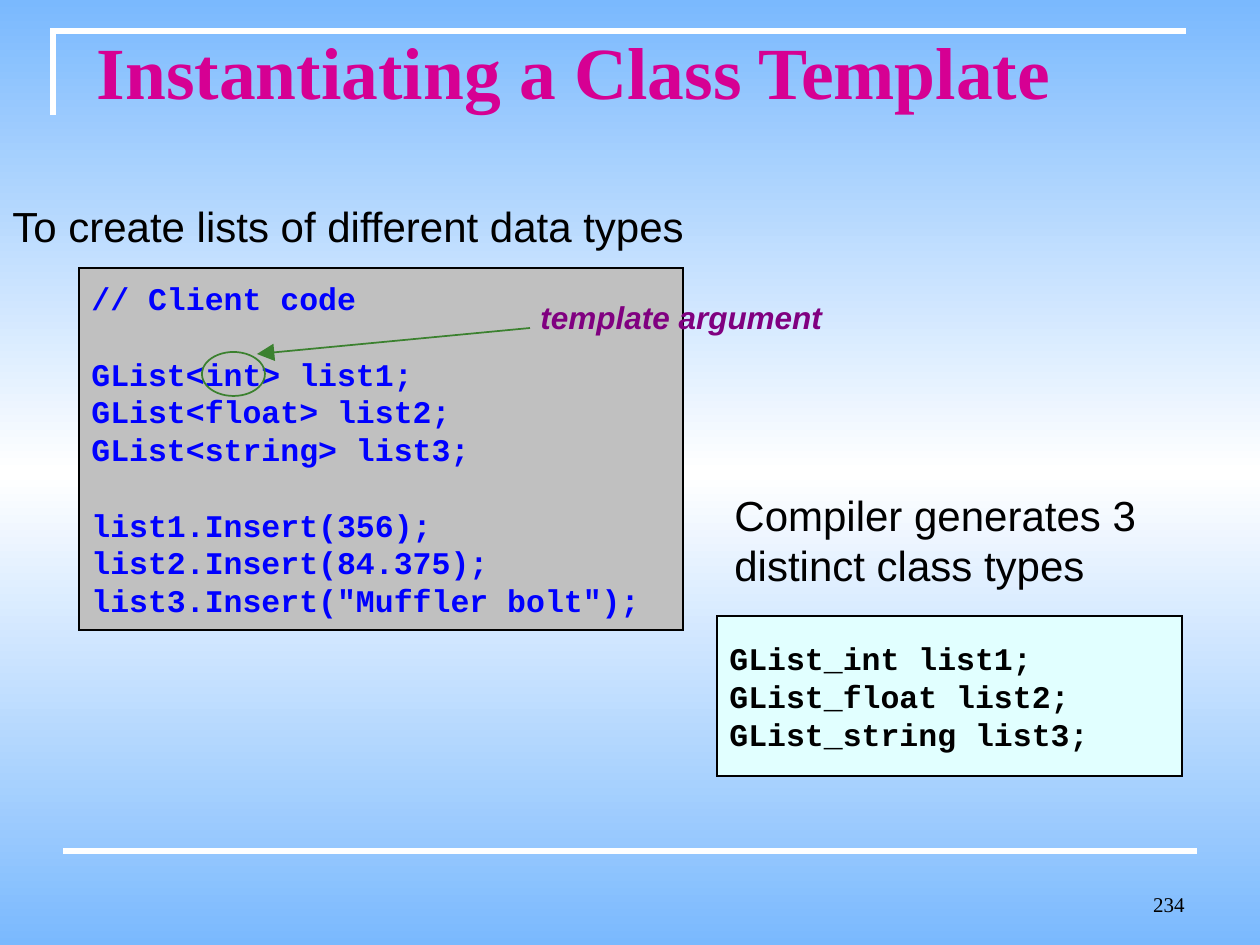
from copy import deepcopy
from lxml.etree import SubElement
from pptx import Presentation
from pptx.dml.color import RGBColor
from pptx.enum.shapes import MSO_CONNECTOR as CONN, MSO_SHAPE as SHAPE
from pptx.enum.text import MSO_ANCHOR as ANCHOR, PP_ALIGN as ALIGN
from pptx.oxml.ns import qn
from pptx.util import Emu, Pt

SCALE = 914400 / 126
COLORS = {"sky": "7AB9FE", "white": "FFFFFF", "title": "D60093", "black": "000000",
          "gray": "C0C0C0", "code": "0000FF", "pale": "E1FFFF", "green": "3B812F",
          "purple": "800080"}


def px(*values):
    return [Emu(round(v * SCALE)) for v in values]


def write(sp, lines, color, anchor=ANCHOR.TOP, align=ALIGN.LEFT, **fmt):
    tf = sp.text_frame
    tf.word_wrap, tf.vertical_anchor = True, anchor
    p, gap = tf.paragraphs[0], 0
    for line in lines:
        if not line:
            gap = 21.5
            continue
        if p.runs:
            p = tf.add_paragraph()
        p.alignment = align
        p.space_before = Pt(gap)
        gap = 0
        r = p.add_run()
        r.text = line
        r.font.color.rgb = RGBColor.from_string(COLORS[color])
        for name, value in fmt.items():
            setattr(r.font, name, value)


prs = Presentation()
prs.slide_width, prs.slide_height = px(1260, 945)
s = prs.slides.add_slide(prs.slide_layouts[5])

fill = s.background.fill
fill.gradient()
fill.gradient_angle = 90
stops = s._element.find(".//" + qn("a:gsLst"))
stops.append(deepcopy(stops[0]))
for stop, color, position in zip(fill.gradient_stops, ["sky", "white", "sky"], [0, 0.5, 1]):
    stop.color.rgb = RGBColor.from_string(COLORS[color])
    stop.position = position

fb = s.shapes.build_freeform(53, 115, scale=SCALE)
fb.add_line_segments([(53, 31), (1186, 31)], close=False)
corner = fb.convert_to_shape()
corner.shadow.inherit = False
corner.fill.background()
corner.line.color.rgb = RGBColor.from_string(COLORS["white"])
corner.line.width = Pt(3)
SubElement(corner._element.spPr.find(qn("a:ln")), qn("a:miter"), lim="800000")

title = s.shapes.title
title.left, title.top, title.width, title.height = px(84, 20, 1081, 158)
write(title, ["Instantiating a Class Template"], "title",
      name="Times New Roman", size=Pt(42), bold=True)

client_code = ["// Client code", "", "GList<int> list1;", "GList<float> list2;",
               "GList<string> list3;", "", "list1.Insert(356);",
               "list2.Insert(84.375);", 'list3.Insert("Muffler bolt");']
class_types = ["GList_int list1;", "GList_float list2;", "GList_string list3;"]
for kind, box, back, edge, lines, ink in [
    (SHAPE.RECTANGLE, (79, 268, 604, 362), "gray", "black", client_code, "code"),
    (SHAPE.RECTANGLE, (717, 616, 465, 160), "pale", "black", class_types, "black"),
    (SHAPE.OVAL, (202, 352, 63, 44), None, "green", [], None),
]:
    sp = s.shapes.add_shape(kind, *px(*box))
    sp.shadow.inherit = False
    if back:
        sp.fill.solid()
        sp.fill.fore_color.rgb = RGBColor.from_string(COLORS[back])
    else:
        sp.fill.background()
    sp.line.color.rgb = RGBColor.from_string(COLORS[edge])
    sp.line.width = Pt(1)
    SubElement(sp._element.spPr.find(qn("a:ln")), qn("a:miter"), lim="800000")
    write(sp, lines, ink, ANCHOR.MIDDLE, name="Courier New", size=Pt(18), bold=True)

for ends, color, width, arrow in [
    ((63, 851, 1197, 851), "white", 3, False),
    ((530, 328, 257, 354), "green", 1, True),
]:
    line = s.shapes.add_connector(CONN.STRAIGHT, *px(*ends))
    line.line.color.rgb = RGBColor.from_string(COLORS[color])
    line.line.width = Pt(width)
    if arrow:
        SubElement(line._element.spPr.find(qn("a:ln")), qn("a:tailEnd"),
                   type="triangle", w="lg", len="lg")
    SubElement(line._element.spPr, qn("a:effectLst"))

body = {"name": "Arial", "size": Pt(24)}
label = {"name": "Arial", "size": Pt(18), "bold": True, "italic": True}
number = {"name": "Times New Roman", "size": Pt(12), "align": ALIGN.RIGHT,
          "anchor": ANCHOR.BOTTOM}
for box, text, color, fmt in [
    ((0, 194, 832, 63), "To create lists of different data types", "black", body),
    ((722, 483, 459, 113), "Compiler generates 3 distinct class types", "black", body),
    ((528, 292, 340, 50), "template argument", "purple", label),
    ((903, 860, 294, 63), "234", "black", number),
]:
    write(s.shapes.add_textbox(*px(*box)), [text], color, **fmt)

prs.save("out.pptx")
